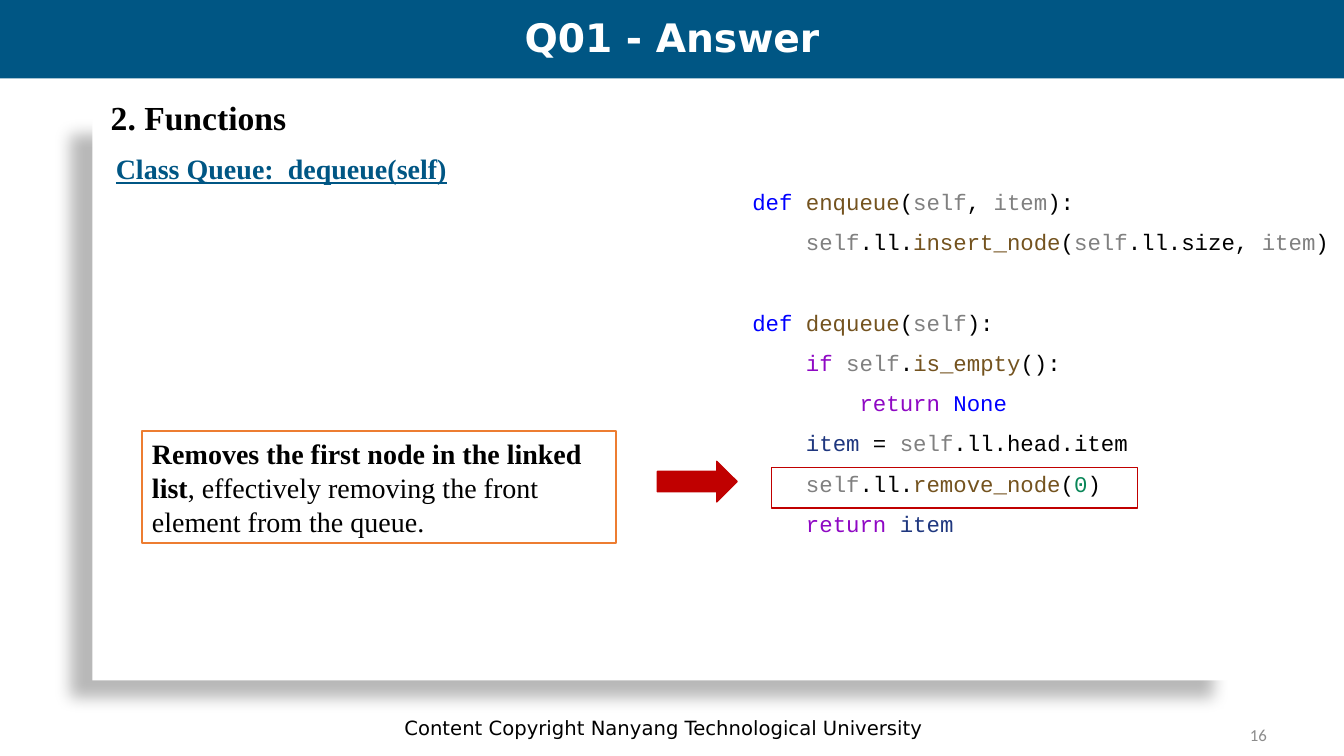
from pptx import Presentation
from pptx.dml.color import RGBColor as Rgb
from pptx.enum.shapes import MSO_SHAPE as Shape
from pptx.enum.text import MSO_ANCHOR as Anchor, PP_ALIGN as Align
from pptx.oxml import parse_xml
from pptx.util import Pt

# Content
TITLE = "Q01 - Answer"
HEADING = "2. Functions"
SUBHEADING = "Class Queue:  dequeue(self)"
NOTE = [("Removes the first node in the linked list", True),
        (", effectively removing the front element from the queue.", False)]
FOOTER = "Content Copyright Nanyang Technological University"
PAGE_NUMBER = "16"

# Each code line: indent level, blank lines before it, (text, token kind) pairs
CODE = [
    (1, 0, [("def ", "keyword"), ("enqueue", "function"), ("(", "plain"),
            ("self", "param"), (", ", "plain"), ("item", "param"), ("):", "plain")]),
    (2, 0, [("self", "param"), (".ll.", "plain"), ("insert_node", "function"),
            ("(", "plain"), ("self", "param"), (".ll.size, ", "plain"),
            ("item", "param"), (")", "plain")]),
    (1, 1, [("def ", "keyword"), ("dequeue", "function"), ("(", "plain"),
            ("self", "param"), ("):", "plain")]),
    (2, 0, [("if ", "control"), ("self", "param"), (".", "plain"),
            ("is_empty", "function"), ("():", "plain")]),
    (3, 0, [("return ", "control"), ("None", "keyword")]),
    (2, 0, [("item", "variable"), (" = ", "plain"), ("self", "param"),
            (".ll.head.item", "plain")]),
    (2, 0, [("self", "param"), (".ll.", "plain"), ("remove_node", "function"),
            ("(", "plain"), ("0", "number"), (")", "plain")]),
    (2, 0, [("return ", "control"), ("item", "variable")]),
]

THEME = {
    "color": {"plain": "000000", "keyword": "0000FF", "function": "74531F",
              "param": "808080", "control": "8F08C4", "variable": "1F377F",
              "number": "098658", "white": "FFFFFF", "blue": "005684",
              "red": "C00000", "orange": "ED7D31", "gray": "8C8C8C"},
    "font": {"sans": "DejaVu Sans", "serif": "Times New Roman",
             "code": "Courier New", "number": "Calibri"},
    "size": {"title": 28, "heading": 24, "body": 20, "code": 16,
             "footer": 14, "number": 12},
}
CODE_LINE_PITCH = 28.8
PAGE_WIDTH, PAGE_HEIGHT = 960, 540

CARD_SHADOW = """<a:effectLst xmlns:a="http://schemas.openxmlformats.org/drawingml/2006/main">
<a:outerShdw blurRad="149860" dist="250190" dir="8460000" algn="ctr" rotWithShape="0">
<a:srgbClr val="000000"><a:alpha val="28000"/></a:srgbClr></a:outerShdw></a:effectLst>"""


def color(name):
    return Rgb.from_string(THEME["color"][name])


def add_block(kind, left, top, width, height, fill=None, line=None):
    block = page.shapes.add_shape(kind, Pt(left), Pt(top), Pt(width), Pt(height))
    block.shadow.inherit = False
    if fill:
        block.fill.solid()
        block.fill.fore_color.rgb = color(fill)
    else:
        block.fill.background()
    if line:
        block.line.color.rgb = color(line)
        block.line.width = Pt(1)
    else:
        block.line.fill.background()
    return block


def add_box(left, top, width, height, anchor=Anchor.TOP):
    box = page.shapes.add_textbox(Pt(left), Pt(top), Pt(width), Pt(height))
    box.text_frame.word_wrap = True
    box.text_frame.vertical_anchor = anchor
    return box.text_frame.paragraphs[0]


def add_text(para, text, font="serif", size="body", ink="plain",
             bold=False, underline=None):
    span = para.add_run()
    span.text = text
    span.font.name = THEME["font"][font]
    span.font.size = Pt(THEME["size"][size])
    span.font.color.rgb = color(ink)
    span.font.bold = bold
    span.font.underline = underline


deck = Presentation()
deck.slide_width, deck.slide_height = Pt(PAGE_WIDTH), Pt(PAGE_HEIGHT)
page = deck.slides.add_slide(deck.slide_layouts[6])

# Card with soft shadow, and title bar
card = add_block(Shape.RECTANGLE, 66, 84, 816, 402, fill="white")
properties = card._element.spPr
properties.replace(properties[-1], parse_xml(CARD_SHADOW))
add_block(Shape.RECTANGLE, 0, 0, PAGE_WIDTH, 56, fill="blue")

# Footer and page number
para = add_box(129, 505.5, 690, 29, Anchor.MIDDLE)
para.alignment = Align.CENTER
add_text(para, FOOTER, font="sans", size="footer")
para = add_box(688, 510, 224, 29, Anchor.MIDDLE)
para.alignment = Align.RIGHT
add_text(para, PAGE_NUMBER, font="number", size="number", ink="gray")

# Code
para = add_box(492, 121, 480, 324)
frame = para._parent
for index, (level, blanks, tokens) in enumerate(CODE):
    if index:
        para = frame.add_paragraph()
        para.space_before = Pt(blanks * CODE_LINE_PITCH)
    para.line_spacing = 1.5
    add_text(para, "    " * level, font="code", size="code")
    for text, kind in tokens:
        add_text(para, text, font="code", size="code", ink=kind)

# Title and headings
para = add_box(0, 3, PAGE_WIDTH, 51, Anchor.MIDDLE)
para.alignment = Align.CENTER
para.line_spacing = 0.9
add_text(para, TITLE, font="sans", size="title", ink="white", bold=True)
add_text(add_box(72, 65.5, 228, 36), HEADING, size="heading", bold=True)
add_text(add_box(75.6, 105, 306, 32), SUBHEADING, ink="blue", bold=True, underline=True)

# Explanation, arrow and highlighted code line
note = add_block(Shape.RECTANGLE, 101.5, 308, 338.5, 80, fill="white", line="orange")
note.text_frame.word_wrap = True
note.text_frame.vertical_anchor = Anchor.MIDDLE
para = note.text_frame.paragraphs[0]
para.alignment = Align.LEFT
for text, bold in NOTE:
    add_text(para, text, bold=bold)
add_block(Shape.RIGHT_ARROW, 469.5, 329.5, 57, 29, fill="red", line="red")
add_block(Shape.RECTANGLE, 551, 334, 261.5, 29, line="red")

deck.save("out.pptx")
